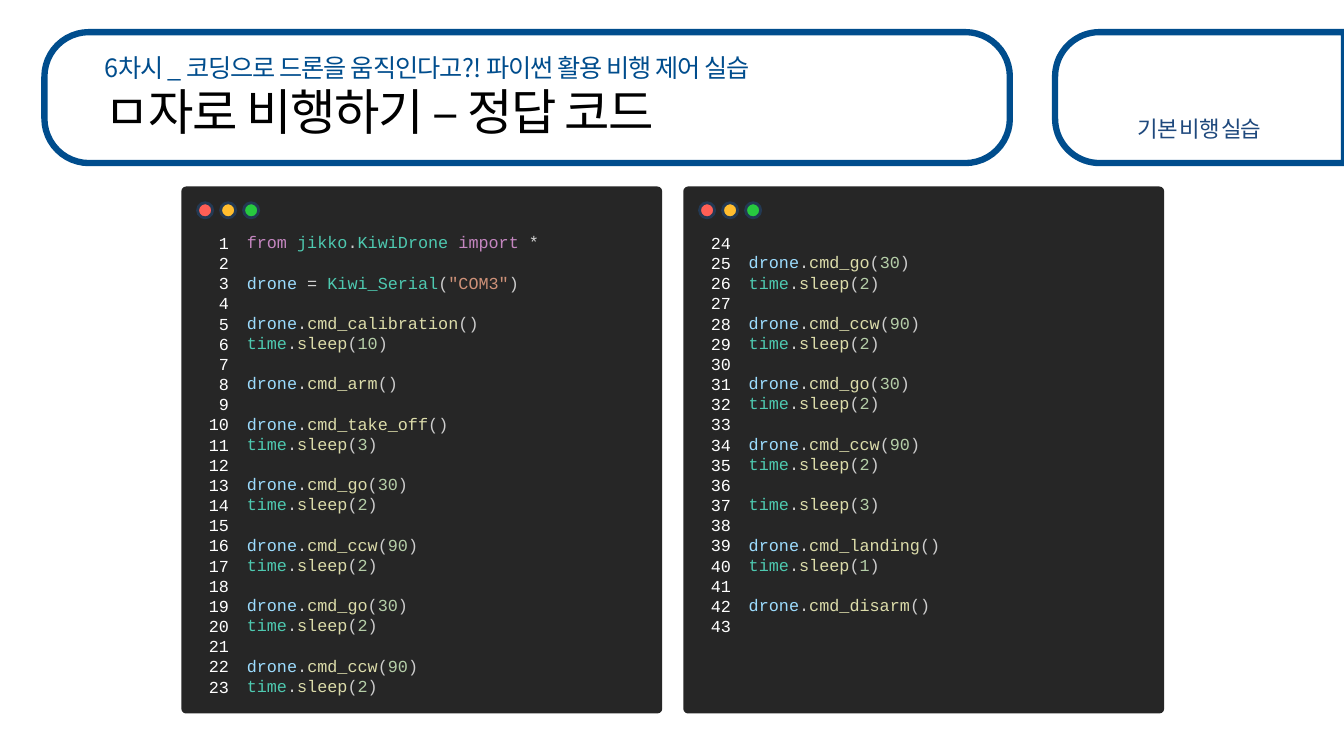
"""Build the drone lesson slide that shows the answer code for a square flight."""
from copy import deepcopy
from itertools import groupby
from math import cos, radians, sin

from lxml.etree import SubElement
from pptx import Presentation
from pptx.dml.color import RGBColor
from pptx.enum.shapes import MSO_SHAPE
from pptx.enum.text import MSO_ANCHOR, MSO_AUTO_SIZE, PP_ALIGN
from pptx.oxml.ns import qn
from pptx.util import Cm, Pt

SANS, MONO = "Noto Sans CJK KR", "Courier New"
COLORS = {
    "white": "FFFFFF", "black": "000000", "blue": "004D8D", "navy": "1F497D",
    "card": "262626", "ring": "233953", "red": "FF5F56", "amber": "FFBD2E",
    "green": "27C93F", "key": "C586C0", "type": "4EC9B0", "var": "9CDCFE",
    "func": "DCDCAA", "num": "B5CEA8", "str": "CE9178", "sign": "D4D4D4",
    "mark": "CCCCCC",
}
TITLE = [("ㅁ자로 비행하기 – 정답 코드", -1)]
LESSON = [("6차시 _ ", -1), ("코딩으로 드론을 움직인다고?! 파이썬 활용 비행 제어 실습", -0.7)]
TOPIC = [("기본 비행 실습", -1)]
WORDS = {
    "from": "key", "import": "key", "drone": "var", "time": "type",
    "jikko": "type", "KiwiDrone": "type", "Kiwi_Serial": "type",
}
GO = ["", "drone.cmd_go(30)", "time.sleep(2)"]
TURN = ["", "drone.cmd_ccw(90)", "time.sleep(2)"]
START = [
    "from jikko.KiwiDrone import *",
    "", 'drone = Kiwi_Serial("COM3")',
    "", "drone.cmd_calibration()", "time.sleep(10)",
    "", "drone.cmd_arm()",
    "", "drone.cmd_take_off()", "time.sleep(3)",
]
END = [
    "", "time.sleep(3)",
    "", "drone.cmd_landing()", "time.sleep(1)",
    "", "drone.cmd_disarm()",
]
CARDS = [
    (1, 23, START + GO + TURN + GO + TURN),
    (24, 43, GO + TURN + GO + TURN + END),
]
WIDTH, HEIGHT = 33.87, 19.05
PILL_TOP, PILL_TALL, CURVE = 0.81, 3.3, 1.12
CARD_LEFT, CARD_TOP, CARD_STEP, CARD_WIDE, CARD_TALL = 4.57, 4.7, 12.65, 12.12, 13.28
LINE = 14.4


def rgb(name):
    return RGBColor.from_string(COLORS[name])


def paint(shape, fill, edge=None, width=0):
    shape.shadow.inherit = False
    shape.fill.solid()
    shape.fill.fore_color.rgb = rgb(fill)
    if edge:
        shape.line.color.rgb = rgb(edge)
        shape.line.width = Pt(width)
    else:
        shape.line.fill.background()


def write(para, text, face, size, color, space=0):
    run = para.add_run()
    run.text = text
    run.font.name, run.font.size = face, Pt(size)
    run.font.color.rgb = rgb(color)
    props = run.font._element
    SubElement(props, qn("a:ea")).set("typeface", face)
    if space:
        props.set("spc", str(round(space * 100)))
    return run


def head(shape, box, parts, size, color, align=PP_ALIGN.LEFT):
    shape.left, shape.top, shape.width, shape.height = map(Cm, box)
    frame = shape.text_frame
    frame.word_wrap, frame.auto_size = True, MSO_AUTO_SIZE.NONE
    frame.vertical_anchor = MSO_ANCHOR.TOP
    frame.margin_top = frame.margin_bottom = 0
    para = frame.paragraphs[0]
    para.alignment = align
    for text, space in parts:
        write(para, text, SANS, size, color, space)


def column(shapes, left, top, width, count):
    box = shapes.add_textbox(Cm(left), Cm(top), Cm(width), Pt(count * LINE) + Cm(0.25))
    frame = box.text_frame
    frame.word_wrap, frame.auto_size = True, MSO_AUTO_SIZE.SHAPE_TO_FIT_TEXT
    return frame


def next_line(frame, first):
    para = frame.paragraphs[0] if first else frame.add_paragraph()
    para.line_spacing = Pt(LINE)
    return para


def is_word(char):
    return char.isalnum() or char in '_"'


def shade(word):
    if not is_word(word[0]):
        return "sign" if "=" in word or "*" in word else "mark"
    if word.isdigit():
        return "num"
    return "str" if word[0] == '"' else WORDS.get(word, "func")


def add_code(frame, lines):
    first, gap = True, False
    for line in lines:
        if not line:
            gap = True
            continue
        para = next_line(frame, first)
        if gap:
            para.add_line_break()
        for _, chars in groupby(line, is_word):
            word = "".join(chars)
            run = write(para, word, MONO, 12, shade(word))
        if gap:
            para._p.find(qn("a:br")).append(deepcopy(run.font._element))
        first, gap = False, False


def add_card(slide, left, start, stop, lines):
    shapes = slide.shapes.add_group_shape().shapes
    card = shapes.add_shape(MSO_SHAPE.ROUNDED_RECTANGLE, Cm(left), Cm(CARD_TOP),
                            Cm(CARD_WIDE), Cm(CARD_TALL))
    card.adjustments[0] = 0.01
    paint(card, "card")
    for i, color in enumerate(("red", "amber", "green")):
        dot = shapes.add_shape(MSO_SHAPE.OVAL, Cm(left + 0.41 + i * 0.58),
                               Cm(CARD_TOP + 0.41), Cm(0.38), Cm(0.38))
        paint(dot, color, "ring", 2)
    add_code(column(shapes, left + 1.4, CARD_TOP + 1.02, 9.58, len(lines)), lines)
    frame = column(shapes, left + 0.36, CARD_TOP + 1.04, 1.09, stop - start + 1)
    for num in range(start, stop + 1):
        para = next_line(frame, num == start)
        para.alignment = PP_ALIGN.RIGHT
        write(para, str(num), MONO, 12, "white")


def add_tab(slide, left):
    low = PILL_TOP + PILL_TALL
    points = [(WIDTH, low)]
    for turn in range(90, 271, 5):
        mid = low - CURVE if turn <= 180 else PILL_TOP + CURVE
        angle = radians(turn)
        points.append((left + CURVE * (1 + cos(angle)), mid + CURVE * sin(angle)))
        if turn == 180:
            points.append((left, PILL_TOP + CURVE))
    pen = slide.shapes.build_freeform(Cm(WIDTH), Cm(PILL_TOP))
    pen.add_line_segments([(Cm(x), Cm(y)) for x, y in points], close=True)
    paint(pen.convert_to_shape(), "white", "blue", 4.5)


def main():
    deck = Presentation()
    deck.slide_width, deck.slide_height = Cm(WIDTH), Cm(HEIGHT)
    slide = deck.slides.add_slide(deck.slide_layouts[5])
    shapes = slide.shapes
    add_tab(slide, 26.59)
    pill = shapes.add_shape(MSO_SHAPE.ROUNDED_RECTANGLE, Cm(1.12), Cm(PILL_TOP),
                            Cm(24.33), Cm(PILL_TALL))
    pill.adjustments[0] = 0.34
    paint(pill, "white", "blue", 4.5)
    head(shapes.add_textbox(0, 0, 0, 0), (2.39, 1.32, 21.31, 0.79), LESSON, 18, "blue")
    title = shapes.title
    shapes._spTree.append(title._element)
    head(title, (2.39, 2.05, 21.31, 1.5), TITLE, 35.3, "black")
    head(shapes.add_textbox(0, 0, 0, 0), (28.09, 2.9, 4.29, 0.99), TOPIC, 16, "navy",
         PP_ALIGN.CENTER)
    for i, (start, stop, lines) in enumerate(CARDS):
        add_card(slide, CARD_LEFT + i * CARD_STEP, start, stop, lines)
    deck.save("out.pptx")


if __name__ == "__main__":
    main()
